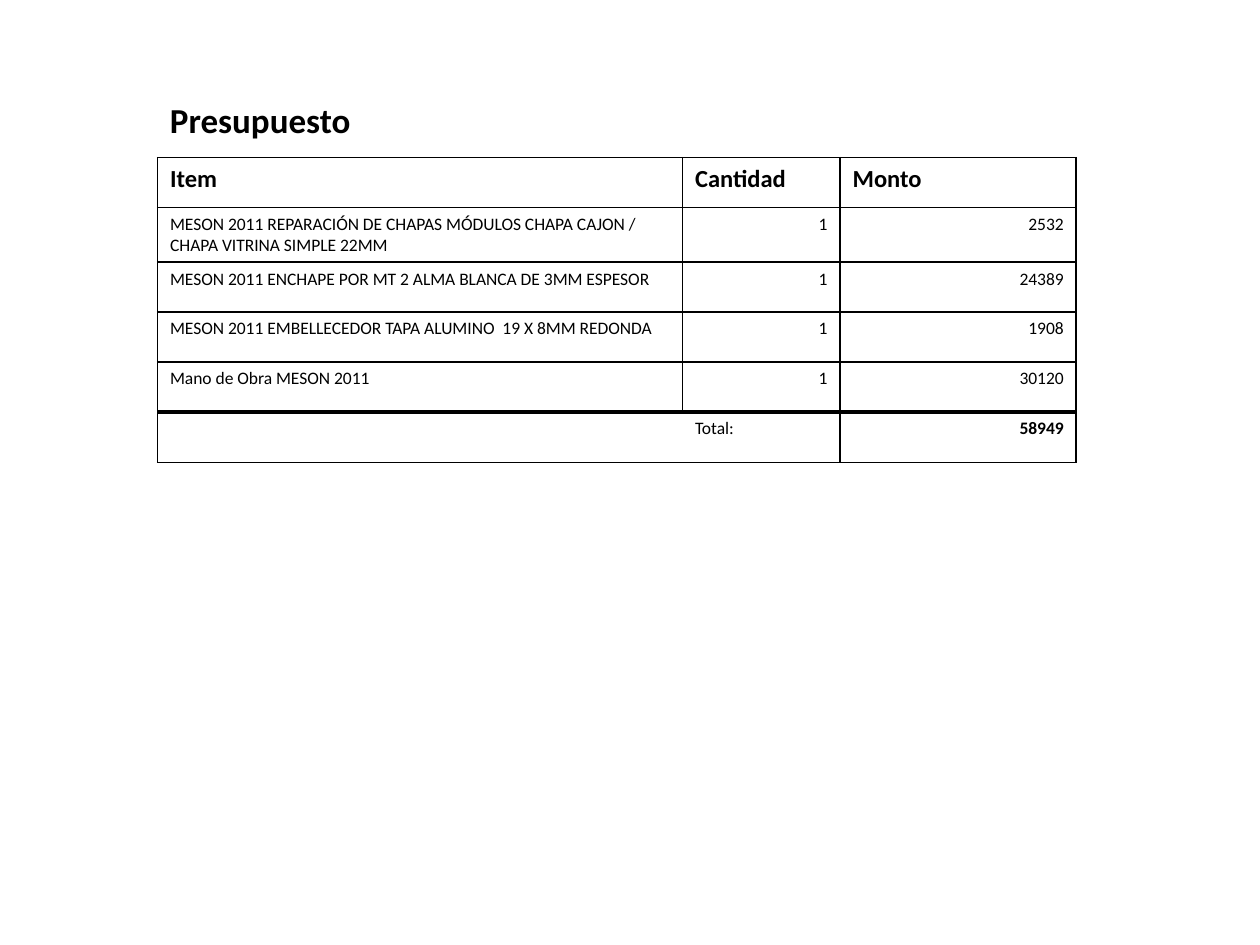
from dataclasses import dataclass

from lxml.etree import SubElement
from pptx import Presentation
from pptx.dml.color import RGBColor
from pptx.enum.text import MSO_AUTO_SIZE as AUTO, PP_ALIGN as AL
from pptx.oxml.ns import qn
from pptx.util import Pt


@dataclass(frozen=True)
class Theme:
    font: str = "Calibri"
    ink: str = "000000"
    paper: str = "FFFFFF"
    title: int = 20
    header: int = 14
    body: int = 10


THEME = Theme()
LEFT = 90
COLS = (300, 90, 135)
ROW_H = 28.57

HEADER = ("Item", "Cantidad", "Monto")
ITEMS = (
    ("MESON 2011 REPARACIÓN DE CHAPAS MÓDULOS CHAPA CAJON / CHAPA VITRINA SIMPLE 22MM", 1, 2532),
    ("MESON 2011 ENCHAPE POR MT 2 ALMA BLANCA DE 3MM ESPESOR", 1, 24389),
    ("MESON 2011 EMBELLECEDOR TAPA ALUMINO  19 X 8MM REDONDA", 1, 1908),
    ("Mano de Obra MESON 2011", 1, 30120),
)
TOTAL = ("", "Total:", sum(amount for _, _, amount in ITEMS))


def write(tf, text, size=THEME.body, bold=False, align=None):
    p = tf.paragraphs[0]
    p.alignment = align
    r = p.add_run()
    r.text = text
    r.font.name = THEME.font
    r.font.size = Pt(size)
    r.font.bold = bold
    r.font.color.rgb = RGBColor.from_string(THEME.ink)


def set_borders(cell, widths):
    """Draw the L, R, T and B edges; a width of 0 hides the edge."""
    tcPr = cell._tc.get_or_add_tcPr()
    for side, width in zip("LRTB", widths):
        ln = SubElement(tcPr, qn(f"a:ln{side}"), w=str(Pt(width)))
        if width:
            fill = SubElement(ln, qn("a:solidFill"))
            SubElement(fill, qn("a:srgbClr"), val=THEME.ink)
        else:
            SubElement(ln, qn("a:noFill"))


def add_title(s, text):
    sp = s.shapes.add_textbox(Pt(LEFT), Pt(52.5), Pt(450), Pt(225))
    tf = sp.text_frame
    tf.word_wrap = True
    tf.auto_size = AUTO.SHAPE_TO_FIT_TEXT
    write(tf, text, size=THEME.title, bold=True)


def add_budget(s):
    rows = (HEADER, *ITEMS, TOTAL)
    last = len(rows) - 1
    table = s.shapes.add_table(len(rows), len(COLS), Pt(LEFT), Pt(90),
                               Pt(sum(COLS)), Pt(ROW_H * len(rows))).table
    table.first_row = table.horz_banding = False
    for col, width in zip(table.columns, COLS):
        col.width = Pt(width)

    for i, values in enumerate(rows):
        table.rows[i].height = Pt(ROW_H)
        for j, value in enumerate(values):
            cell = table.cell(i, j)
            # The total row has no line between its first two cells
            left = 0 if (i, j) == (last, 1) else 1
            right = 0 if (i, j) == (last, 0) else 1
            bottom = 2 if i == last - 1 else 1
            set_borders(cell, (left, right, 1, bottom))
            if i == last:
                cell.fill.background()
            else:
                cell.fill.solid()
                cell.fill.fore_color.rgb = RGBColor.from_string(THEME.paper)
            if value != "":
                write(cell.text_frame, str(value),
                      size=THEME.header if i == 0 else THEME.body,
                      bold=i == 0 or (i, j) == (last, 2),
                      align=AL.RIGHT if isinstance(value, int) else None)


def main():
    prs = Presentation()
    prs.slide_width, prs.slide_height = Pt(720), Pt(540)
    s = prs.slides.add_slide(prs.slide_layouts[6])
    add_title(s, "Presupuesto")
    add_budget(s)
    prs.save("out.pptx")


if __name__ == "__main__":
    main()
